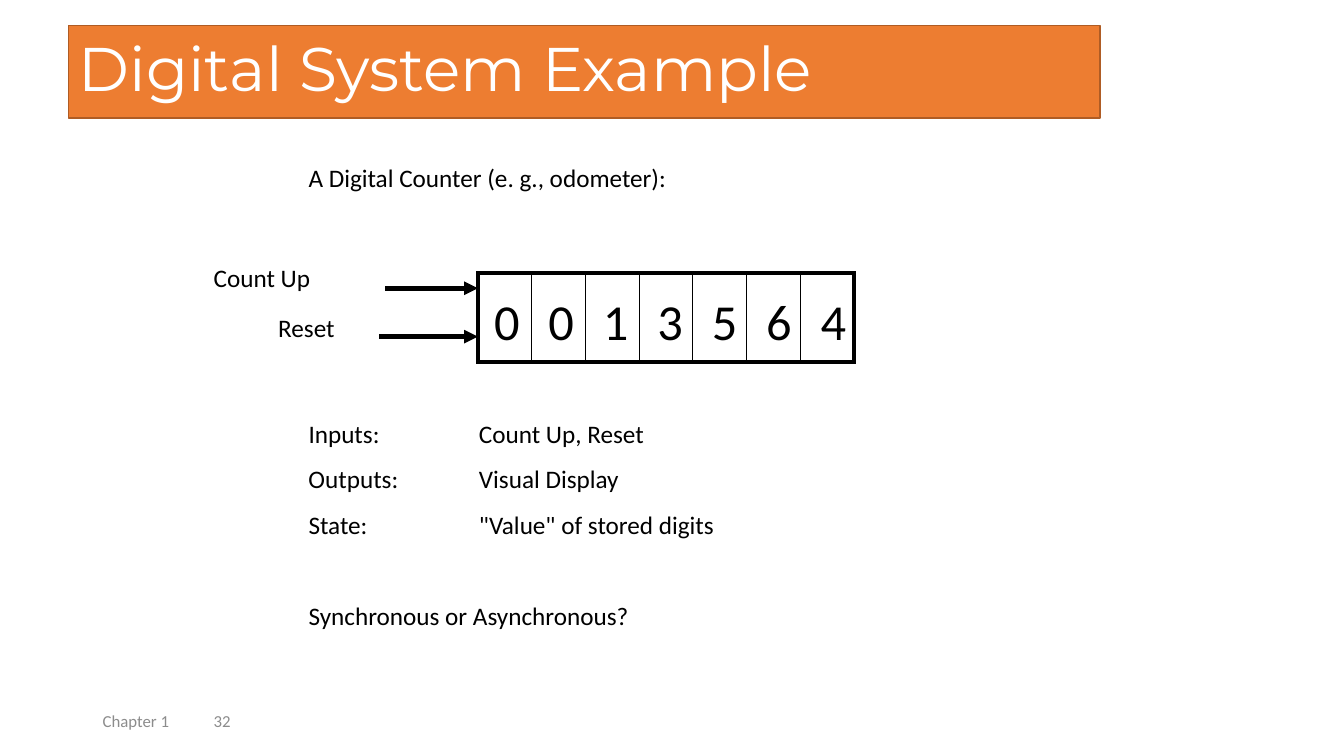
from dataclasses import dataclass

from lxml.etree import SubElement
from pptx import Presentation
from pptx.dml.color import RGBColor
from pptx.enum.shapes import MSO_CONNECTOR
from pptx.enum.text import MSO_ANCHOR as Anchor, MSO_AUTO_SIZE as AutoSize, PP_ALIGN as Align
from pptx.oxml.ns import qn
from pptx.util import Inches, Pt


@dataclass(frozen=True)
class Theme:
    banner: RGBColor = RGBColor(0xED, 0x7D, 0x31)
    banner_edge: RGBColor = RGBColor(0xAF, 0x5C, 0x24)
    white: RGBColor = RGBColor(0xFF, 0xFF, 0xFF)
    ink: RGBColor = RGBColor(0, 0, 0)
    muted: RGBColor = RGBColor(0x8C, 0x8C, 0x8C)
    heading_font: str = "Montserrat"
    body_font: str = "Calibri"
    title_size: int = 44
    digit_size: int = 36
    body_size: int = 18
    footer_size: int = 12
    frame_width: float = 3
    divider_width: float = 0.5
    arrow_width: float = 3.25


THEME = Theme()
TITLE_ONLY = 5


def write(frame, text, size=THEME.body_size, color=THEME.ink, font=THEME.body_font,
          anchor=Anchor.TOP, align=Align.LEFT, wrap=False, inset=None):
    """Fill a text frame with one formatted paragraph and return the paragraph."""
    frame.word_wrap = wrap
    frame.auto_size = AutoSize.NONE
    frame.vertical_anchor = anchor
    if inset is not None:
        frame.margin_left = frame.margin_right = Inches(inset)
        frame.margin_top = frame.margin_bottom = Inches(inset)
    paragraph = frame.paragraphs[0]
    paragraph.alignment = align
    run = paragraph.add_run()
    run.text = text
    run.font.size = Pt(size)
    run.font.name = font
    run.font.color.rgb = color
    return paragraph


def add_label(slide, text, left, top, width, height=0.3, **text_format):
    box = slide.shapes.add_textbox(Inches(left), Inches(top), Inches(width), Inches(height))
    return write(box.text_frame, text, **{"inset": 0, **text_format})


def add_banner_title(slide, text):
    title = slide.shapes.title
    title.left, title.top = Inches(0.68), Inches(0.25)
    title.width, title.height = Inches(10.23), Inches(0.92)
    title.fill.solid()
    title.fill.fore_color.rgb = THEME.banner
    title.line.color.rgb = THEME.banner_edge
    title.line.width = Pt(1)
    paragraph = write(title.text_frame, text, size=THEME.title_size, color=THEME.white,
                      font=THEME.heading_font, anchor=Anchor.MIDDLE,
                      align=Align.JUSTIFY, wrap=True)
    paragraph.line_spacing = 0.9


def set_borders(cell, **widths):
    """Draw cell borders; widths are points keyed by side, in the order L, R, T, B."""
    properties = cell._tc.get_or_add_tcPr()
    for position, (side, width) in enumerate(widths.items()):
        border = SubElement(properties, qn(f"a:ln{side}"), w=str(Pt(width)))
        fill = SubElement(border, qn("a:solidFill"))
        SubElement(fill, qn("a:srgbClr"), val=str(THEME.ink))
        properties.insert(position, border)


def add_counter(slide, digits, left=4.74, top=2.71, width=3.73, height=0.88):
    """Draw the framed display with one digit over each cell."""
    last = len(digits) - 1
    display = slide.shapes.add_table(1, len(digits), Inches(left), Inches(top),
                                     Inches(width), Inches(height)).table
    display.first_row = display.horz_banding = False
    frame, divider = THEME.frame_width, THEME.divider_width
    for place, digit in enumerate(digits):
        display.columns[place].width = Inches(width / len(digits))
        cell = display.cell(0, place)
        cell.fill.background()
        set_borders(cell, L=frame if place == 0 else divider,
                    R=frame if place == last else divider, T=frame, B=frame)
        add_label(slide, digit, left + 0.16 + 0.54 * place, top + 0.16, 0.26, 0.61,
                  size=THEME.digit_size, anchor=Anchor.MIDDLE)


def add_input_arrow(slide, start, end, y):
    arrow = slide.shapes.add_connector(MSO_CONNECTOR.STRAIGHT, Inches(start), Inches(y),
                                       Inches(end), Inches(y))
    arrow.line.color.rgb = THEME.ink
    arrow.line.width = Pt(THEME.arrow_width)
    SubElement(arrow.line._get_or_add_ln(), qn("a:tailEnd"), type="triangle")
    SubElement(arrow._element.spPr, qn("a:effectLst"))


def add_footer(slide, chapter, number):
    paragraph = add_label(slide, f"{chapter}\t{number}", 0.92, 6.95, 3, 0.4,
                          size=THEME.footer_size, color=THEME.muted,
                          anchor=Anchor.MIDDLE, wrap=True, inset=0.1)
    stops = SubElement(paragraph._p.get_or_add_pPr(), qn("a:tabLst"))
    SubElement(stops, qn("a:tab"), pos=str(Inches(1.1)), algn="l")


def main():
    deck = Presentation()
    deck.slide_width, deck.slide_height = Inches(13.33), Inches(7.5)
    slide = deck.slides.add_slide(deck.slide_layouts[TITLE_ONLY])

    add_banner_title(slide, "Digital System Example")
    add_label(slide, "A Digital Counter (e. g., odometer):", 3.06, 1.61, 3.59)

    add_counter(slide, "0013564")
    add_label(slide, "Count Up", 2.12, 2.6, 0.97)
    add_input_arrow(slide, 3.82, 4.74, 2.86)
    add_label(slide, "Reset", 2.76, 3.1, 0.57)
    add_input_arrow(slide, 3.76, 4.74, 3.34)

    facts = [
        ("Inputs:", 0.71, "Count Up, Reset"),
        ("Outputs:", 0.9, "Visual Display"),
        ("State:", 0.59, "\"Value\" of stored digits"),
    ]
    for row, (term, term_width, meaning) in enumerate(facts):
        top = 4.15 + 0.45 * row
        add_label(slide, term, 3.06, top, term_width)
        add_label(slide, meaning, 4.75, top, 4.32, wrap=True)

    add_label(slide, "Synchronous or Asynchronous?", 3.06, 5.96, 3.21)
    add_footer(slide, "Chapter 1", 32)
    deck.save("out.pptx")


if __name__ == "__main__":
    main()
